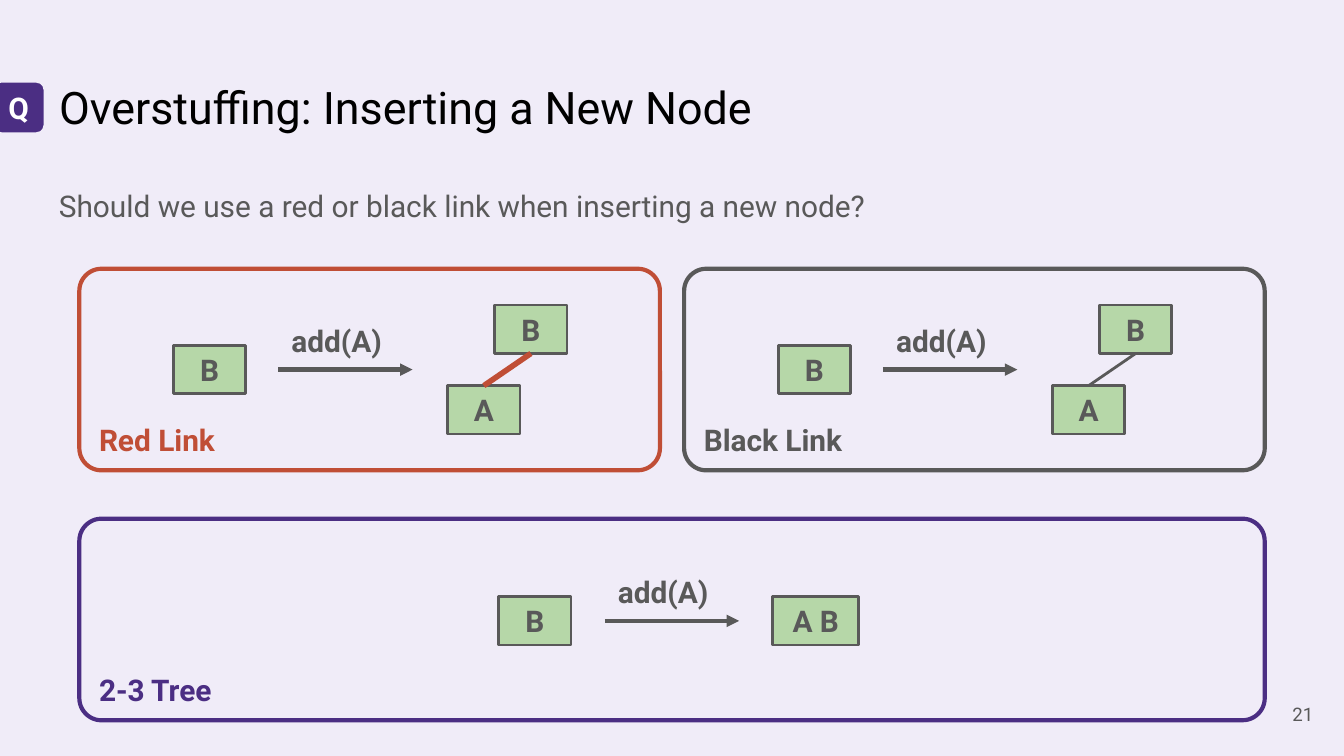
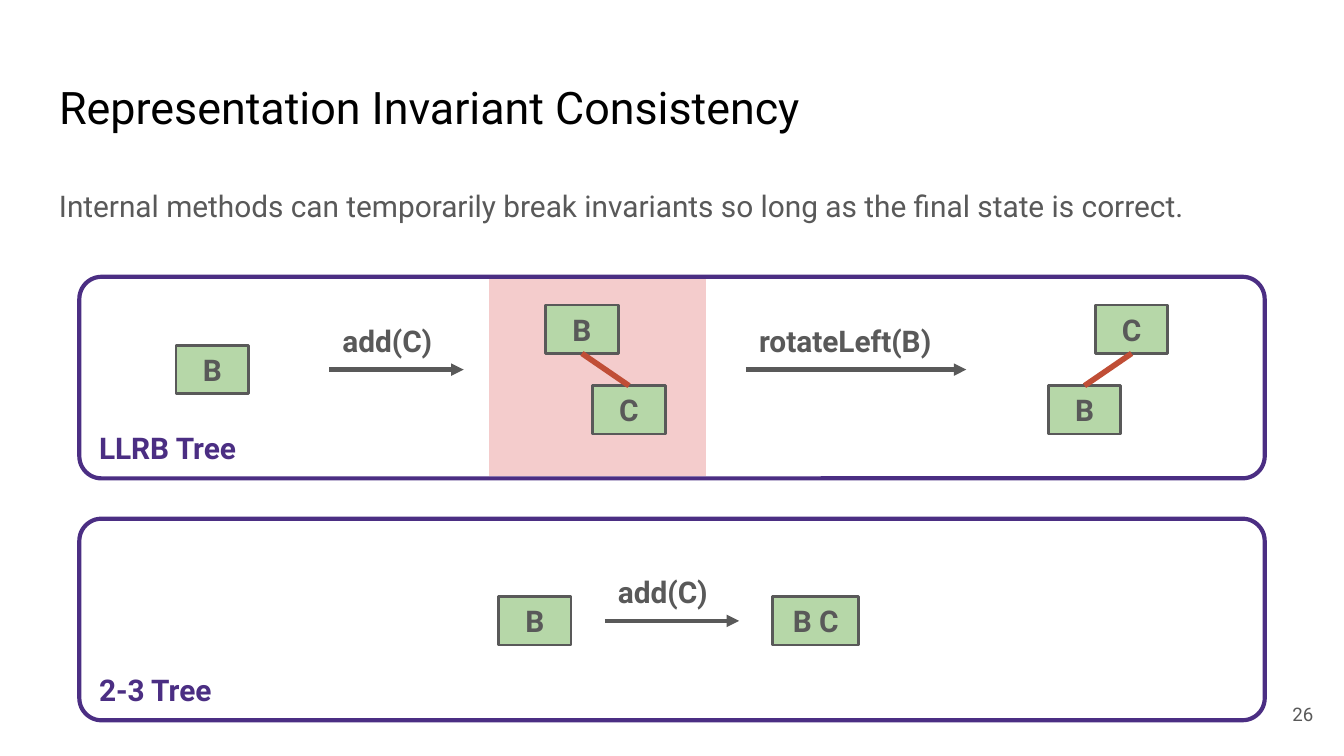
import functools
from dataclasses import dataclass
from typing import Any, Optional, Union

import lxml.etree
import pptx
import pptx.dml.color
import pptx.enum.shapes
import pptx.enum.text
import pptx.oxml.ns
import pptx.shapes.autoshape
import pptx.shapes.connector
import pptx.shapes.shapetree
import pptx.slide
import pptx.text.text
import pptx.util

COLORS = {
    "lilac": "F0ECF8", "white": "FFFFFF", "black": "000000", "gray": "595959",
    "purple": "4B2E83", "red": "C04E36", "green": "B6D7A8", "pink": "F4CCCC",
}
FONT = "Roboto"
SHAPE = pptx.enum.shapes.MSO_SHAPE
ANCHOR = pptx.enum.text.MSO_ANCHOR
ALIGN = pptx.enum.text.PP_ALIGN

# The grid has square cells, 100 columns across the slide.
SLIDE_W = pptx.util.Inches(10)
SLIDE_H = SLIDE_W * 9 // 16
COLUMNS = 100
LEFT, PANEL_W, PANEL_H = 5.9, 88.2, 15
HALF_W, HALF_STEP = 43.2, 45
NODE_W, PAIR_W, NODE_H = 5.4, 6.4, 3.6
CHILD_DX, CHILD_DY = 3.5, 6
LABEL_H = 4.5
UPPER, LOWER = 27.5, 46.2  # centre lines of the two diagram rows
LOWER_PANEL_Y = 38.6

Shapes = Union[pptx.shapes.shapetree.SlideShapes, pptx.shapes.shapetree.GroupShapes]


@dataclass(frozen=True)
class Panel:
    label: str
    x: float
    y: float
    w: float
    color: str


@dataclass(frozen=True)
class Node:
    label: str
    x: float
    row: float
    w: float = NODE_W


@dataclass(frozen=True)
class Step:
    label: str
    x: float
    row: float
    w: float = 10


@dataclass(frozen=True)
class Pair:
    """A parent with one child, to its left (side -1) or right (side 1)."""
    parent: str
    child: str
    x: float
    side: int = -1
    color: str = "red"
    weight: float = 3


@dataclass(frozen=True)
class Highlight:
    x: float
    y: float
    w: float


@dataclass(frozen=True)
class Page:
    title: str
    body: str
    number: int
    background: str
    items: list
    badge: Optional[str] = None


def grid(n: float) -> int:
    return round(n * SLIDE_W / COLUMNS)


def box(x: float, y: float, w: float, h: float) -> list[int]:
    return [grid(n) for n in (x, y, w, h)]


def rgb(name: str) -> pptx.dml.color.RGBColor:
    return pptx.dml.color.RGBColor.from_string(COLORS[name])


def assign(target: Any, values: dict[str, Any]) -> None:
    for name, value in values.items():
        setattr(target, name, value)


def write(tf: pptx.text.text.TextFrame, text: str, color: str = "gray", size: float = 16,
          bold: bool = True, anchor: Any = ANCHOR.TOP, align: Any = ALIGN.LEFT,
          inset_y: float = 1, **paragraph: Any) -> None:
    assign(tf, {
        "word_wrap": True, "auto_size": pptx.enum.text.MSO_AUTO_SIZE.NONE,
        "vertical_anchor": anchor, "margin_left": grid(1), "margin_right": grid(1),
        "margin_top": grid(inset_y), "margin_bottom": grid(inset_y),
    })
    p = tf.paragraphs[0]
    assign(p, {"alignment": align, **paragraph})
    r = p.add_run()
    r.text = text
    assign(r.font, {"name": FONT, "size": pptx.util.Pt(size), "bold": bold})
    r.font.color.rgb = rgb(color)


def add_text(shapes: Shapes, place: list[int], text: str, **style: Any) -> None:
    write(shapes.add_textbox(*place).text_frame, text, **style)


def add_box(shapes: Shapes, kind: Any, place: list[int], fill: Optional[str], line: str,
            weight: float = 2.25, corner: float = 0) -> pptx.shapes.autoshape.Shape:
    sp = shapes.add_shape(kind, *place)
    sp.shadow.inherit = False
    if fill:
        sp.fill.solid()
        sp.fill.fore_color.rgb = rgb(fill)
    else:
        sp.fill.background()
    sp.line.color.rgb = rgb(line)
    sp.line.width = pptx.util.Pt(weight)
    if kind == SHAPE.ROUNDED_RECTANGLE:
        sp.adjustments[0] = corner
    return sp


def add_line(shapes: Shapes, start: tuple[float, float], end: tuple[float, float], color: str,
             weight: float, arrow: bool = False) -> pptx.shapes.connector.Connector:
    line = shapes.add_connector(pptx.enum.shapes.MSO_CONNECTOR.STRAIGHT,
                                *[grid(n) for n in (*start, *end)])
    line.line.color.rgb = rgb(color)
    line.line.width = pptx.util.Pt(weight)
    qn = pptx.oxml.ns.qn
    sp_pr = line.element.spPr
    if arrow:
        lxml.etree.SubElement(sp_pr.find(qn("a:ln")), qn("a:tailEnd"), type="triangle")
    lxml.etree.SubElement(sp_pr, qn("a:effectLst"))
    return line


@functools.singledispatch
def draw(item: Any, shapes: Shapes) -> Any:
    raise TypeError(f"cannot draw {item!r}")


@draw.register
def draw_panel(item: Panel, shapes: Shapes) -> None:
    sp = add_box(shapes, SHAPE.ROUNDED_RECTANGLE, box(item.x, item.y, item.w, PANEL_H),
                 None, item.color, corner=0.11)
    write(sp.text_frame, item.label, color=item.color, anchor=ANCHOR.BOTTOM, inset_y=0.5)


@draw.register
def draw_node(item: Node, shapes: Shapes) -> pptx.shapes.autoshape.Shape:
    sp = add_box(shapes, SHAPE.RECTANGLE,
                 box(item.x, item.row - NODE_H / 2, item.w, NODE_H), "green", "gray", 1.5)
    write(sp.text_frame, item.label, anchor=ANCHOR.MIDDLE, align=ALIGN.CENTER)
    return sp


@draw.register
def draw_step(item: Step, shapes: Shapes) -> None:
    """An arrow with the called method standing on it."""
    group = shapes.add_group_shape().shapes
    add_line(group, (item.x, item.row), (item.x + item.w, item.row), "gray", 2.25, arrow=True)
    add_text(group, box(item.x, item.row - LABEL_H, item.w, LABEL_H), item.label)


@draw.register
def draw_pair(item: Pair, shapes: Shapes) -> None:
    group = shapes.add_group_shape().shapes
    top, bottom = UPPER - CHILD_DY / 2, UPPER + CHILD_DY / 2
    child_x = item.x + item.side * CHILD_DX
    parent = draw(Node(item.parent, item.x, top), group)
    child = draw(Node(item.child, child_x, bottom), group)
    link = add_line(group, (child_x + NODE_W / 2, bottom - NODE_H / 2),
                    (item.x + NODE_W / 2, top + NODE_H / 2), item.color, item.weight)
    link.begin_connect(child, 0)
    link.end_connect(parent, 2)


@draw.register
def draw_highlight(item: Highlight, shapes: Shapes) -> None:
    add_box(shapes, SHAPE.RECTANGLE, box(item.x, item.y, item.w, PANEL_H), "pink", "white")


def link_example(index: int, label: str, color: str, weight: float) -> list:
    dx = index * HALF_STEP
    return [
        Panel(label, LEFT + dx, 20, HALF_W, color),
        Node("B", 12.9 + dx, UPPER),
        Step("add(A)", 20.7 + dx, UPPER),
        Pair("B", "A", 36.8 + dx, color=color, weight=weight),
    ]


def two_three_tree(call: str, result: str) -> list:
    return [
        Panel("2-3 Tree", LEFT, LOWER_PANEL_Y, PANEL_W, "purple"),
        Node("B", 37.1, LOWER),
        Step(call, 45, LOWER),
        Node(result, 57.5, LOWER, PAIR_W),
    ]


PAGES = [
    Page("Overstuffing: Inserting a New Node",
         "Should we use a red or black link when inserting a new node?", 21, "lilac",
         [*link_example(0, "Red Link", "red", 3),
          *link_example(1, "Black Link", "gray", 1.5),
          *two_three_tree("add(A)", "A B")],
         badge="Q"),
    Page("Representation Invariant Consistency",
         "Internal methods can temporarily break invariants so long as the final state is correct.",
         26, "white",
         [Highlight(36.2, 20.6, 16.5),
          Panel("LLRB Tree", LEFT, 20.6, PANEL_W, "purple"),
          Node("B", 13.1, UPPER),
          Step("add(C)", 24.5, UPPER),
          Pair("B", "C", 40.6, side=1),
          Step("rotateLeft(B)", 55.5, UPPER, 16.4),
          Pair("C", "B", 81.5),
          *two_three_tree("add(C)", "B C")]),
]


def add_page(prs: Any, page: Page) -> None:
    s = prs.slides.add_slide(prs.slide_layouts.get_by_name("Title Only"))
    s.background.fill.solid()
    s.background.fill.fore_color.rgb = rgb(page.background)
    title = s.shapes.title
    assign(title, dict(zip(("left", "top", "width", "height"), box(3.4, 4.9, 93.2, 6.3))))
    write(title.text_frame, page.title, color="black", size=24, bold=False)
    add_text(s.shapes, box(3.4, 12.6, 93.2, 4.5), page.body, bold=False,
             line_spacing=1.15, space_after=pptx.util.Pt(8))
    add_text(s.shapes, box(92.7, 51, 6, 4.3), str(page.number), size=10, bold=False,
             anchor=ANCHOR.MIDDLE, align=ALIGN.RIGHT)
    if page.badge:
        sp = add_box(s.shapes, SHAPE.ROUNDED_RECTANGLE, box(-0.6, 6, 4, 4), "purple",
                     page.background, corner=0.17)
        write(sp.text_frame, page.badge, color="white", anchor=ANCHOR.MIDDLE,
              align=ALIGN.CENTER)
    for item in page.items:
        draw(item, s.shapes)


def main() -> None:
    prs = pptx.Presentation()
    assign(prs, {"slide_width": SLIDE_W, "slide_height": SLIDE_H})
    for page in PAGES:
        add_page(prs, page)
    prs.save("out.pptx")


if __name__ == "__main__":
    main()
